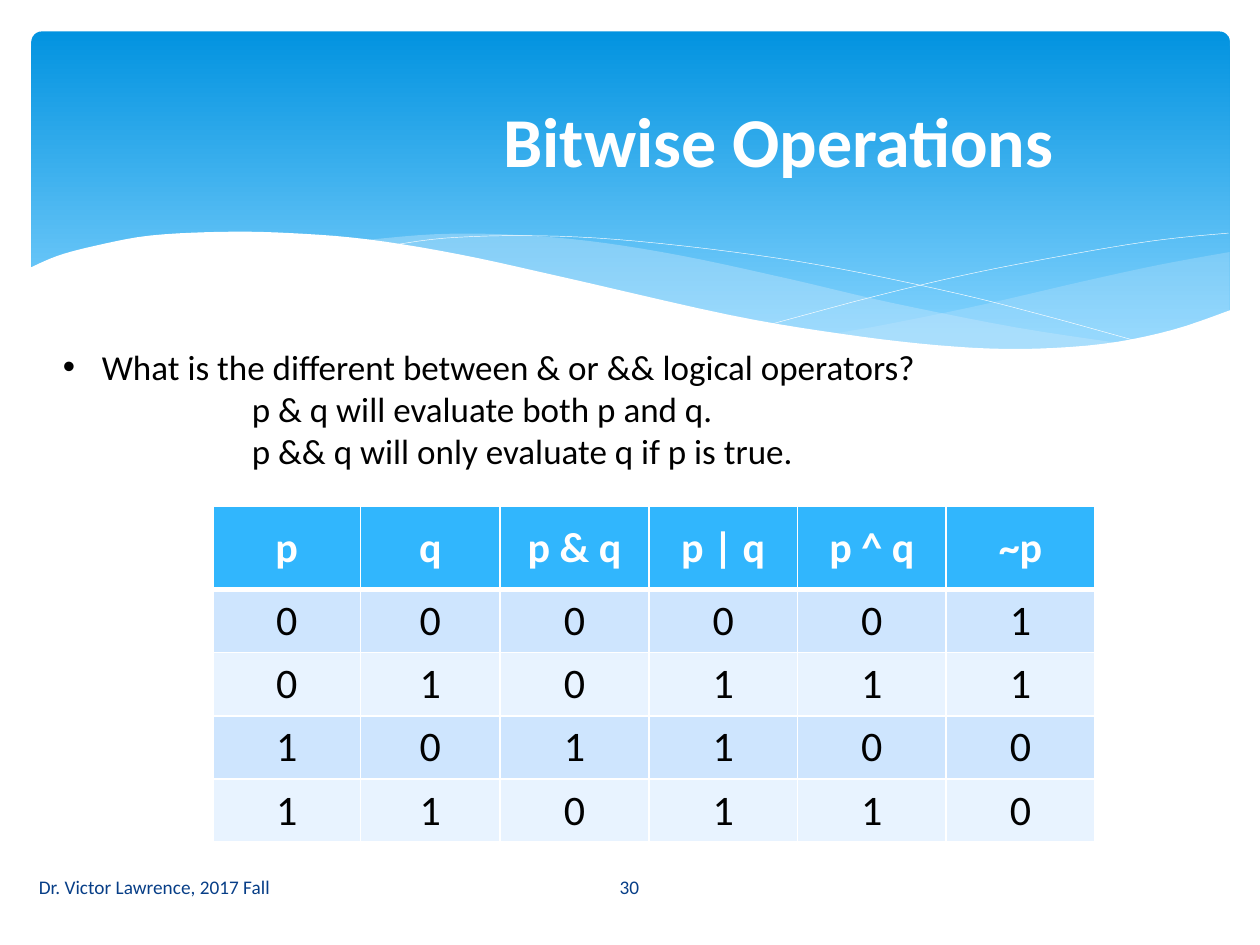
from lxml import etree
from pptx import Presentation
from pptx import util as u
from pptx.dml.color import RGBColor
from pptx.enum import shapes, text
from pptx.oxml import ns

WHITE = RGBColor(0xFF, 0xFF, 0xFF)
BLACK = RGBColor(0x00, 0x00, 0x00)
NAVY = RGBColor(0x07, 0x3E, 0x87)
SKY_TOP = RGBColor(0x02, 0x93, 0xE0)
SKY_BOTTOM = RGBColor(0x83, 0xD3, 0xFE)
MIST = RGBColor(0xC6, 0xE7, 0xFC)
HEADER = RGBColor(0x31, 0xB6, 0xFD)
BANDS = (RGBColor(0xCE, 0xE5, 0xFE), RGBColor(0xE8, 0xF3, 0xFF))

FONT = "Calibri"
WIDTH, HEIGHT = u.Inches(10), u.Inches(7.5)
COL, ROW = WIDTH / 10, HEIGHT / 7.5

RIGHT_TOP = [(9.76, 2), (9.21, 2.1), (8.61, 2.23), (7.79, 2.42), (7.06, 2.57), (6.61, 2.65)]
RIGHT_BOTTOM = [(6.61, 2.65), (7.19, 2.72), (7.81, 2.77), (8.35, 2.77), (8.89, 2.72),
                (9.35, 2.62), (9.76, 2.47)]
MIDDLE_TOP = [(8.93, 2.73), (8.07, 2.6), (7.06, 2.4), (6.29, 2.22), (5.41, 2.03), (4.65, 1.91),
              (3.99, 1.86), (3.44, 1.86), (2.86, 1.91)]
MIDDLE_BOTTOM = [(2.86, 1.91), (3.62, 2.03), (4.49, 2.22), (5.3, 2.4), (6.01, 2.55), (6.8, 2.68),
                 (7.48, 2.76), (8.18, 2.78), (8.93, 2.73)]
FALLING = [(3.09, 1.95), (3.53, 1.89), (4.16, 1.87), (4.89, 1.9), (5.82, 2), (6.65, 2.13),
           (7.6, 2.33), (8.31, 2.51), (9.07, 2.72)]
RISING = [(6.13, 2.57), (6.95, 2.35), (7.76, 2.16), (8.66, 1.99), (9.24, 1.9), (9.75, 1.85)]
FRONT = [(9.77, 2.46), (9.3, 2.62), (8.75, 2.73), (8.09, 2.77), (7.44, 2.74), (6.68, 2.65),
         (5.79, 2.5), (4.47, 2.2), (3.65, 2.02), (2.92, 1.9), (2.3, 1.85), (1.77, 1.84),
         (1.19, 1.87), (0.76, 1.95), (0.46, 2.03), (0.23, 2.13)]
FRONT_BASE = [(0.23, 3.29), (9.77, 3.29)]

TRUTH = [("p", "q", "p & q", "p | q", "p ^ q", "~p"),
         "000001", "010111", "101100", "110110"]


def box(left, top, width, height):
    return int(left * COL), int(top * ROW), int(width * COL), int(height * ROW)


def smooth(knots, steps=5):
    padded = [knots[0], *knots, knots[-1]]
    points = []
    for a, b, c, d in zip(padded, padded[1:], padded[2:], padded[3:]):
        for i in range(steps):
            t = i / steps
            points.append(tuple(
                q + t / 2 * (r - p + t * (2 * p - 5 * q + 4 * r - v + t * (3 * (q - r) + v - p)))
                for p, q, r, v in zip(a, b, c, d)))
    return points + [knots[-1]]


def add_path(s, points, close):
    scaled = [(x * COL, y * ROW) for x, y in points]
    builder = s.shapes.build_freeform(*scaled[0])
    builder.add_line_segments(scaled[1:], close=close)
    sp = builder.convert_to_shape()
    sp.shadow.inherit = False
    return sp


def add_wave(s, points, color, alpha=None):
    sp = add_path(s, points, True)
    sp.fill.solid()
    sp.fill.fore_color.rgb = color
    sp.line.fill.background()
    if alpha:
        clr = sp.fill._xPr.find(".//" + ns.qn("a:srgbClr"))
        etree.SubElement(clr, ns.qn("a:alpha"), val=str(alpha * 1000))


def add_strand(s, knots):
    sp = add_path(s, smooth(knots), False)
    sp.fill.background()
    sp.line.color.rgb = WHITE
    sp.line.width = u.Pt(0.25)


def add_banner(s):
    sp = s.shapes.add_shape(shapes.MSO_SHAPE.ROUNDED_RECTANGLE, *box(0.25, 0.25, 9.51, 2.7))
    sp.adjustments[0] = 0.03
    sp.shadow.inherit = False
    sp.line.fill.background()
    sp.fill.gradient()
    sp.fill.gradient_angle = 270
    for stop, place, color in zip(sp.fill.gradient_stops, (0, 0.9), (SKY_TOP, SKY_BOTTOM)):
        stop.position = place
        stop.color.rgb = color


def add_run(p, words, size, color, bold=False):
    r = p.add_run()
    r.text = words
    r.font.name = FONT
    r.font.size = u.Pt(size)
    r.font.bold = bold
    r.font.color.rgb = color


def set_title(s, words):
    sp = s.shapes.title
    sp.left, sp.top, sp.width, sp.height = box(2.75, 0.42, 6.86, 1.37)
    s.shapes._spTree.append(sp._element)
    sp.text_frame.vertical_anchor = text.MSO_ANCHOR.MIDDLE
    p = sp.text_frame.paragraphs[0]
    p.alignment = text.PP_ALIGN.CENTER
    add_run(p, words, 40, WHITE, True)


def add_text(s, place, anchor=text.MSO_ANCHOR.TOP):
    tf = s.shapes.add_textbox(*box(*place)).text_frame
    tf.word_wrap = True
    tf.vertical_anchor = anchor
    return tf


def add_footer(s, place, words, align):
    p = add_text(s, place, text.MSO_ANCHOR.MIDDLE).paragraphs[0]
    p.alignment = align
    add_run(p, words, 11, NAVY)


def add_question(s, question, answers):
    tf = add_text(s, (0.4, 2.69, 8.68, 1.11))
    p = tf.paragraphs[0]
    pPr = p._p.get_or_add_pPr()
    pPr.set("marL", str(u.Inches(0.31)))
    pPr.set("indent", str(-u.Inches(0.31)))
    etree.SubElement(pPr, ns.qn("a:buFont"), typeface="Arial")
    etree.SubElement(pPr, ns.qn("a:buChar"), char="•")
    add_run(p, question, 20, BLACK)
    for answer in answers:
        p = tf.add_paragraph()
        p.level = 1
        p._p.get_or_add_pPr().set("marL", str(u.Inches(1.5)))
        add_run(p, answer, 20, BLACK)


def add_border(cell, side, width):
    ln = etree.SubElement(cell._tc.get_or_add_tcPr(), ns.qn("a:ln" + side), w=str(u.Pt(width)))
    fill = etree.SubElement(ln, ns.qn("a:solidFill"))
    etree.SubElement(fill, ns.qn("a:srgbClr"), val=str(WHITE))


def fill_cell(cell, words, row):
    for side in "LRTB":
        thick = (row, side) in ((0, "B"), (1, "T"))
        add_border(cell, side, 3 if thick else 1)
    cell.fill.solid()
    cell.fill.fore_color.rgb = BANDS[(row - 1) % 2] if row else HEADER
    cell.vertical_anchor = text.MSO_ANCHOR.MIDDLE
    p = cell.text_frame.paragraphs[0]
    p.alignment = text.PP_ALIGN.CENTER
    add_run(p, words, 24, BLACK if row else WHITE, not row)


def add_truth_table(s):
    table = s.shapes.add_table(len(TRUTH), len(TRUTH[0]), *box(1.69, 4.02, 6.99, 2.66)).table
    for column, width in zip(table.columns, (1.17, 1.11, *[1.18] * 4)):
        column.width = int(width * COL)
    for i, values in enumerate(TRUTH):
        table.rows[i].height = int((0.5 if i else 0.66) * ROW)
        for j, value in enumerate(values):
            fill_cell(table.cell(i, j), value, i)


def main():
    prs = Presentation()
    prs.slide_width, prs.slide_height = WIDTH, HEIGHT
    s = prs.slides.add_slide(prs.slide_layouts[5])
    add_banner(s)
    add_wave(s, smooth(RIGHT_TOP) + smooth(RIGHT_BOTTOM), MIST, 29)
    add_wave(s, smooth(MIDDLE_TOP) + smooth(MIDDLE_BOTTOM), MIST, 40)
    add_strand(s, FALLING)
    add_strand(s, RISING)
    add_wave(s, smooth(FRONT) + FRONT_BASE, WHITE)
    set_title(s, "Bitwise Operations")
    add_footer(s, (4.36, 6.84, 1.27, 0.4), "30", text.PP_ALIGN.CENTER)
    add_footer(s, (0.21, 6.84, 4.14, 0.4), "Dr. Victor Lawrence, 2017 Fall", text.PP_ALIGN.LEFT)
    add_truth_table(s)
    add_question(s, "What is the different between & or && logical operators?",
                 ["p & q will evaluate both p and q.",
                  "p && q will only evaluate q if p is true."])
    prs.save("out.pptx")


if __name__ == "__main__":
    main()
